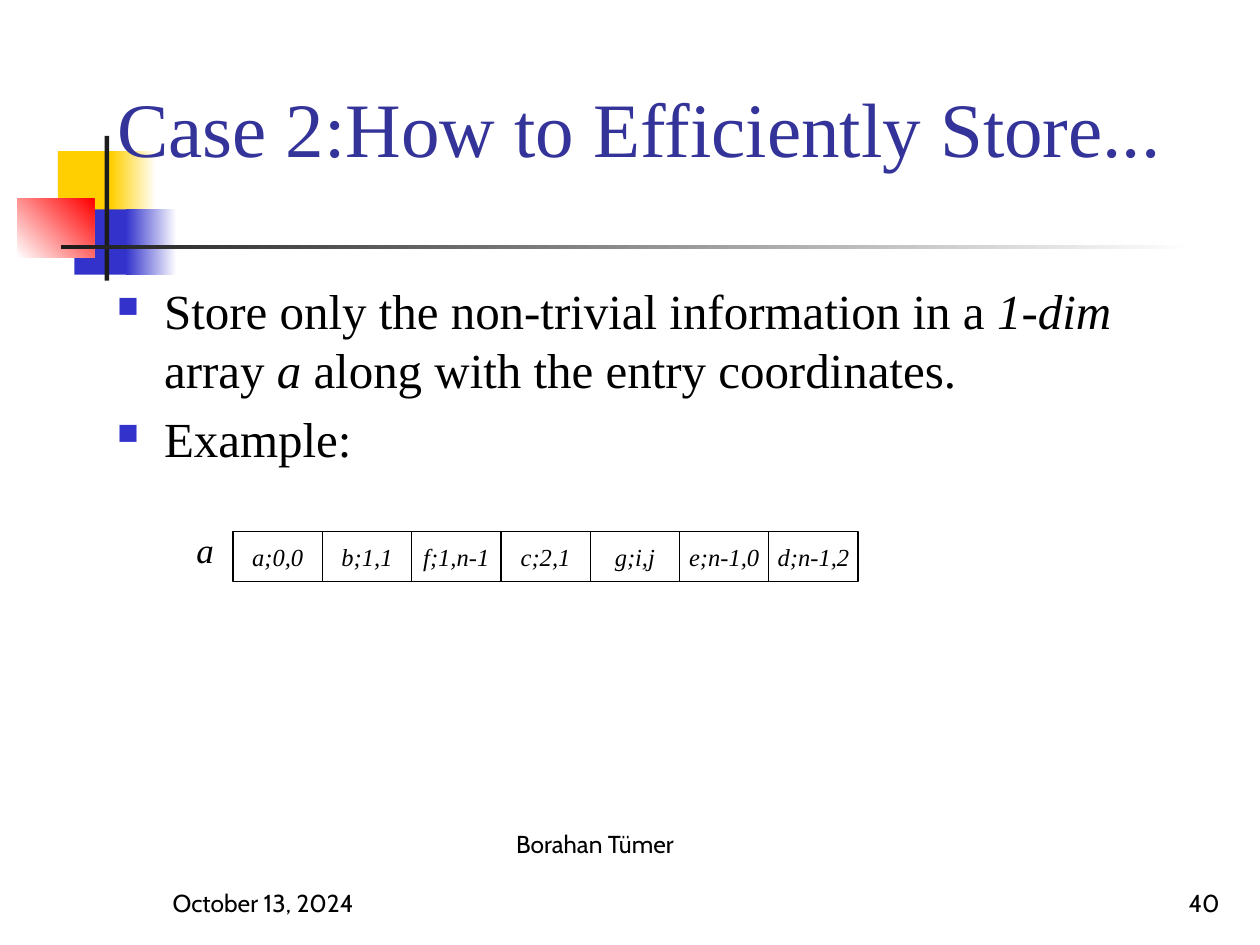
from dataclasses import dataclass

from lxml import etree
from pptx import Presentation
from pptx.dml.color import RGBColor
from pptx.enum.shapes import MSO_SHAPE
from pptx.enum.text import MSO_ANCHOR, PP_ALIGN
from pptx.oxml.ns import qn
from pptx.slide import Slide
from pptx.util import Cm, Pt

RECTANGLE = MSO_SHAPE.RECTANGLE
TOP, MIDDLE, BOTTOM = MSO_ANCHOR.TOP, MSO_ANCHOR.MIDDLE, MSO_ANCHOR.BOTTOM
LEFT, CENTER, RIGHT = PP_ALIGN.LEFT, PP_ALIGN.CENTER, PP_ALIGN.RIGHT

BLACK, WHITE, CHARCOAL = "000000", "FFFFFF", "1C1C1C"
YELLOW, BLUE, RED, NAVY = "FFCF01", "3333CC", "FF0000", "333399"


def color(hex_string):
    return RGBColor.from_string(hex_string)


@dataclass
class SlideBuilder:
    slide: Slide
    serif: str = "Times New Roman"
    sans: str = "Cabin"

    def style_run(self, run, size, font, fill=BLACK, italic=False):
        run.font.size = Pt(size)
        run.font.name = font
        run.font.italic = italic
        run.font.color.rgb = color(fill)

    def rectangle(self, box, fill=None, fade_to=None, angle=0):
        shape = self.slide.shapes.add_shape(RECTANGLE, *map(Cm, box))
        shape.shadow.inherit = False
        shape.line.fill.background()
        if fade_to:
            shape.fill.gradient()
            shape.fill.gradient_angle = angle
            for stop, stop_color in zip(shape.fill.gradient_stops, (fill, fade_to)):
                stop.color.rgb = color(stop_color)
        elif fill:
            shape.fill.solid()
            shape.fill.fore_color.rgb = color(fill)
        else:
            shape.fill.background()
        return shape

    def set_text(self, shape, text, size, font, fill=BLACK, italic=False,
                 align=LEFT, anchor=TOP, wrap=True):
        frame = shape.text_frame
        frame.text = text
        frame.word_wrap = wrap
        frame.vertical_anchor = anchor
        paragraph = frame.paragraphs[0]
        paragraph.alignment = align
        self.style_run(paragraph.runs[0], size, font, fill, italic)

    def text(self, box, text, size, font, **options):
        shape = self.slide.shapes.add_textbox(*map(Cm, box))
        self.set_text(shape, text, size, font, **options)

    def cell(self, box, text):
        shape = self.rectangle(box)
        shape.line.color.rgb = color(BLACK)
        shape.line.width = Pt(0.75)
        self.set_text(shape, text, 14, self.serif, italic=True,
                      align=CENTER, anchor=MIDDLE, wrap=False)

    def add_bullet(self, paragraph):
        properties = paragraph._p.get_or_add_pPr()
        properties.set("marL", str(Cm(0.95)))
        properties.set("indent", str(Cm(-0.95)))
        bullet_color = etree.SubElement(properties, qn("a:buClr"))
        etree.SubElement(bullet_color, qn("a:srgbClr"), val=BLUE)
        etree.SubElement(properties, qn("a:buSzPct"), val="60000")
        etree.SubElement(properties, qn("a:buChar"), char="■")

    def bullets(self, box, items, size):
        frame = self.slide.shapes.add_textbox(*map(Cm, box)).text_frame
        frame.word_wrap = True
        for index, pieces in enumerate(items):
            paragraph = frame.add_paragraph() if index else frame.paragraphs[0]
            paragraph.space_before = Pt(0.2 * size)
            self.add_bullet(paragraph)
            for text, italic in pieces:
                run = paragraph.add_run()
                run.text = text
                self.style_run(run, size, self.serif, italic=italic)


def main():
    presentation = Presentation()
    presentation.slide_width = Cm(25.4)
    presentation.slide_height = Cm(19.05)
    builder = SlideBuilder(presentation.slides.add_slide(presentation.slide_layouts[6]))

    builder.rectangle((1.17, 3.05, 1.22, 1.32), YELLOW)
    builder.rectangle((2.24, 3.05, 0.91, 1.32), YELLOW, WHITE)
    builder.rectangle((1.5, 4.22, 1.17, 1.32), BLUE)
    builder.rectangle((2.54, 4.22, 1.02, 1.32), BLUE, WHITE)
    builder.rectangle((0.35, 4.01, 1.55, 1.18), WHITE, RED, angle=45)
    builder.rectangle((2.11, 2.74, 0.09, 2.92), CHARCOAL)
    builder.rectangle((1.23, 4.94, 22.86, 0.09), CHARCOAL, WHITE)

    footers = [
        (3.23, 17.35, 5.28, "October 13, 2024", LEFT),
        (7.97, 16.16, 8.05, "Borahan Tümer", CENTER),
        (19.56, 17.35, 5.28, "40", RIGHT),
    ]
    for left, top, width, text, align in footers:
        builder.text((left, top, width, 1.27), text, 14, builder.sans,
                     align=align, anchor=BOTTOM)

    builder.text((2.11, 0.53, 21.64, 4.06), "Case 2:How to Efficiently Store...",
                 44, builder.serif, fill=NAVY, anchor=MIDDLE)
    builder.bullets((2.11, 5.54, 21.59, 4.39), [
        [("Store only the non-trivial information in a ", False), ("1-dim", True),
         (" array ", False), ("a", True),
         (" along with the entry coordinates.", False)],
        [("Example:", False)],
    ], 28)

    entries = ["a;0,0", "b;1,1", "f;1,n-1", "c;2,1", "g;i,j", "e;n-1,0", "d;n-1,2"]
    cell_width = 1.8
    for index, entry in enumerate(entries):
        builder.cell((4.7 + index * cell_width, 10.72, cell_width, 1), entry)
    builder.text((3.71, 10.52, 0.86, 1.09), "a", 20, builder.serif,
                 italic=True, wrap=False)

    presentation.save("out.pptx")


if __name__ == "__main__":
    main()
